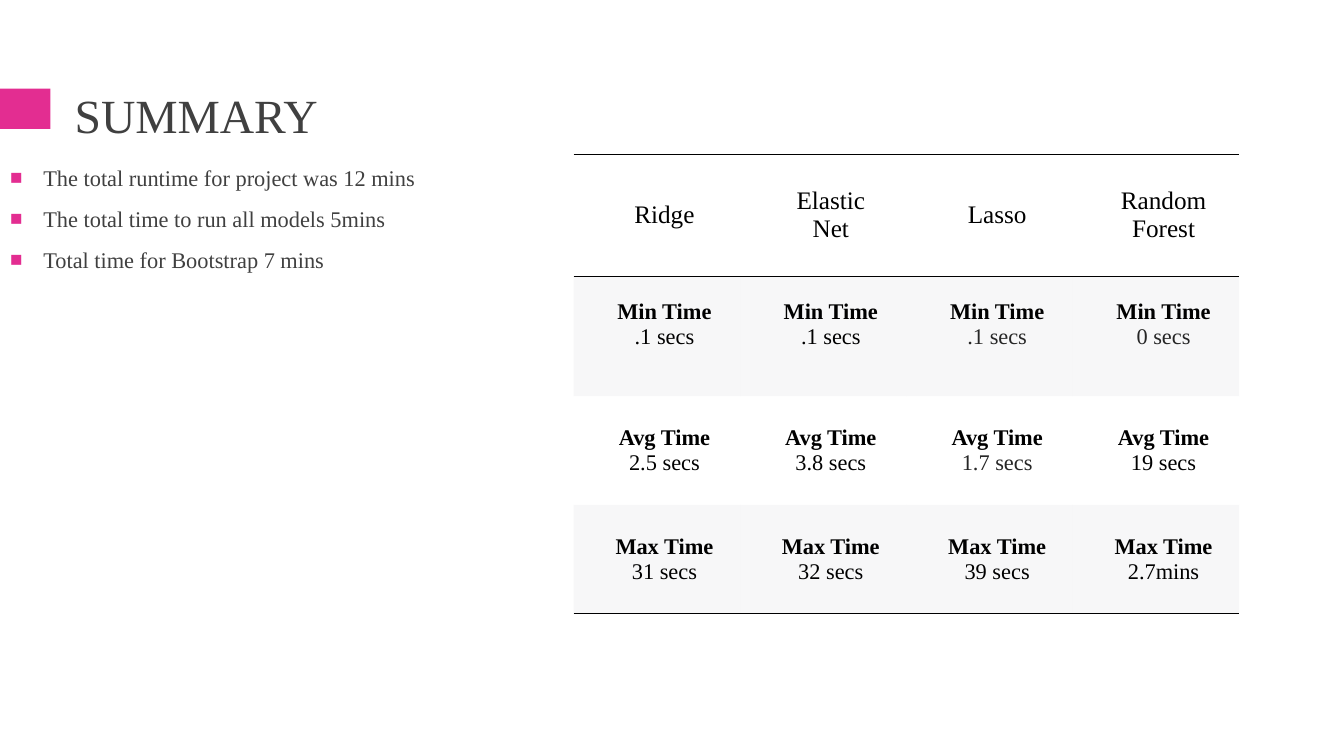
from lxml.etree import SubElement
from pptx import Presentation
from pptx.dml.color import RGBColor
from pptx.enum.shapes import MSO_SHAPE
from pptx.enum.text import MSO_ANCHOR, MSO_AUTO_SIZE, PP_ALIGN
from pptx.oxml import parse_xml
from pptx.oxml.ns import nsdecls, qn
from pptx.util import Pt

PX = 9144  # EMU per px, 100 px to the inch
FONT = "Times New Roman"
PINK = RGBColor(0xE3, 0x2D, 0x91)
GREY = RGBColor(0x40, 0x40, 0x40)
DARK = RGBColor(0x26, 0x26, 0x26)
BLACK = RGBColor(0, 0, 0)
BAND = RGBColor(0xD8, 0xD8, 0xDE)

FINDINGS = [
    "The total runtime for project was 12 mins",
    "The total time to run all models 5mins",
    "Total time for Bootstrap 7 mins",
]
MODELS = ["Ridge", "Elastic Net", "Lasso", "Random Forest"]
TIMES = {
    "Min Time": [".1 secs", ".1 secs", ".1 secs", "0 secs"],
    "Avg Time": ["2.5 secs", "3.8 secs", "1.7 secs", "19 secs"],
    "Max Time": ["31 secs", "32 secs", "39 secs", "2.7mins"],
}
DARK_TIMES = {("Min Time", "Lasso"), ("Min Time", "Random Forest"), ("Avg Time", "Lasso")}
ROW_HEIGHTS = [121, 119, 108, 108]


def set_all(target, values):
    for name, value in values.items():
        setattr(target, name, value)


def place(part, box):
    set_all(part, dict(zip(("left", "top", "width", "height"), (v * PX for v in box))))


def write(paragraph, text, size, color, bold=False):
    run = paragraph.add_run()
    run.text = text
    set_all(run.font, {"name": FONT, "size": Pt(size), "bold": bold})
    run.font.color.rgb = color


def add_heading(slide, box):
    """Title with the pink marker at the slide's left edge."""
    left, top, width, height = box
    marker = slide.shapes.add_shape(MSO_SHAPE.RECTANGLE, 0, 0, PX, PX)
    place(marker, (0, top + 11, left - 14, 40))
    marker.shadow.inherit = False
    marker.fill.solid()
    marker.fill.fore_color.rgb = PINK
    marker.line.fill.background()

    title = slide.shapes.title
    place(title, box)
    set_all(title.text_frame, {"vertical_anchor": MSO_ANCHOR.MIDDLE,
                               "auto_size": MSO_AUTO_SIZE.NONE})
    heading = title.text_frame.paragraphs[0]
    set_all(heading, {"alignment": PP_ALIGN.LEFT, "line_spacing": 0.9})
    write(heading, "SUMMARY", 34, GREY)


def add_bullet(paragraph):
    props = paragraph._p.get_or_add_pPr()
    props.set("marL", str(33 * PX))
    props.set("indent", str(-33 * PX))
    color = SubElement(props, qn("a:buClr"))
    SubElement(color, qn("a:srgbClr"), val=str(PINK))
    SubElement(props, qn("a:buSzPct"), val="92000")
    SubElement(props, qn("a:buFont"), typeface=FONT)
    SubElement(props, qn("a:buChar"), char="■")


def add_findings(slide, box):
    """Bulleted list of total runtimes."""
    body = slide.placeholders[1]
    place(body, box)
    frame = body.text_frame
    set_all(frame, {"auto_size": MSO_AUTO_SIZE.NONE, "vertical_anchor": MSO_ANCHOR.TOP})
    for index, finding in enumerate(FINDINGS):
        item = frame.add_paragraph() if index else frame.paragraphs[0]
        set_all(item, {"space_before": Pt(4), "space_after": Pt(6)})
        add_bullet(item)
        write(item, finding, 16, GREY)


def format_cell(cell, row):
    """Insets, banding and horizontal rules for a cell of the given row."""
    set_all(cell, {
        "vertical_anchor": MSO_ANCHOR.MIDDLE,
        "margin_left": 37 * PX, "margin_right": 22 * PX, "margin_top": 22 * PX,
        "margin_bottom": (46 if row == 1 else 22) * PX,
    })
    props = cell._tc.get_or_add_tcPr()
    if row % 2:
        cell.fill.solid()
        cell.fill.fore_color.rgb = BAND
        SubElement(props.find(".//" + qn("a:srgbClr")), qn("a:alpha"), val="20000")
    else:
        cell.fill.background()

    ruled = {"T": row in (0, 1), "B": row in (0, len(TIMES))}
    for index, side in enumerate("LRTB"):
        paint = (f'<a:solidFill><a:srgbClr val="{BLACK}"/></a:solidFill>'
                 if ruled.get(side) else "<a:noFill/>")
        props.insert(index, parse_xml(
            f'<a:ln{side} {nsdecls("a")} w="12700">{paint}</a:ln{side}>'))


def add_times(slide, box):
    """Table of run times per model."""
    left, top, width, height = (v * PX for v in box)
    rows = len(TIMES) + 1
    table = slide.shapes.add_table(rows, len(MODELS), left, top, width, height).table
    set_all(table, {"first_row": False, "horz_banding": False})
    for row, row_height in zip(table.rows, ROW_HEIGHTS):
        row.height = row_height * PX
    for column, model in enumerate(MODELS):
        for row in range(rows):
            format_cell(table.cell(row, column), row)
        header = table.cell(0, column).text_frame.paragraphs[0]
        header.alignment = PP_ALIGN.CENTER
        write(header, model, 18, BLACK)
        for row, (measure, values) in enumerate(TIMES.items(), 1):
            frame = table.cell(row, column).text_frame
            label, value = frame.paragraphs[0], frame.add_paragraph()
            label.alignment = value.alignment = PP_ALIGN.CENTER
            write(label, measure, 16, BLACK, bold=True)
            write(value, values[column], 16,
                  DARK if (measure, model) in DARK_TIMES else BLACK)


def main():
    deck = Presentation()
    set_all(deck, {"slide_width": 1333 * PX, "slide_height": 750 * PX})
    slide = deck.slides.add_slide(deck.slide_layouts[1])
    add_heading(slide, (64, 77, 1206, 81))
    add_findings(slide, (0, 158, 434, 489))
    add_times(slide, (569, 153, 660, sum(ROW_HEIGHTS)))
    deck.save("out.pptx")


if __name__ == "__main__":
    main()
